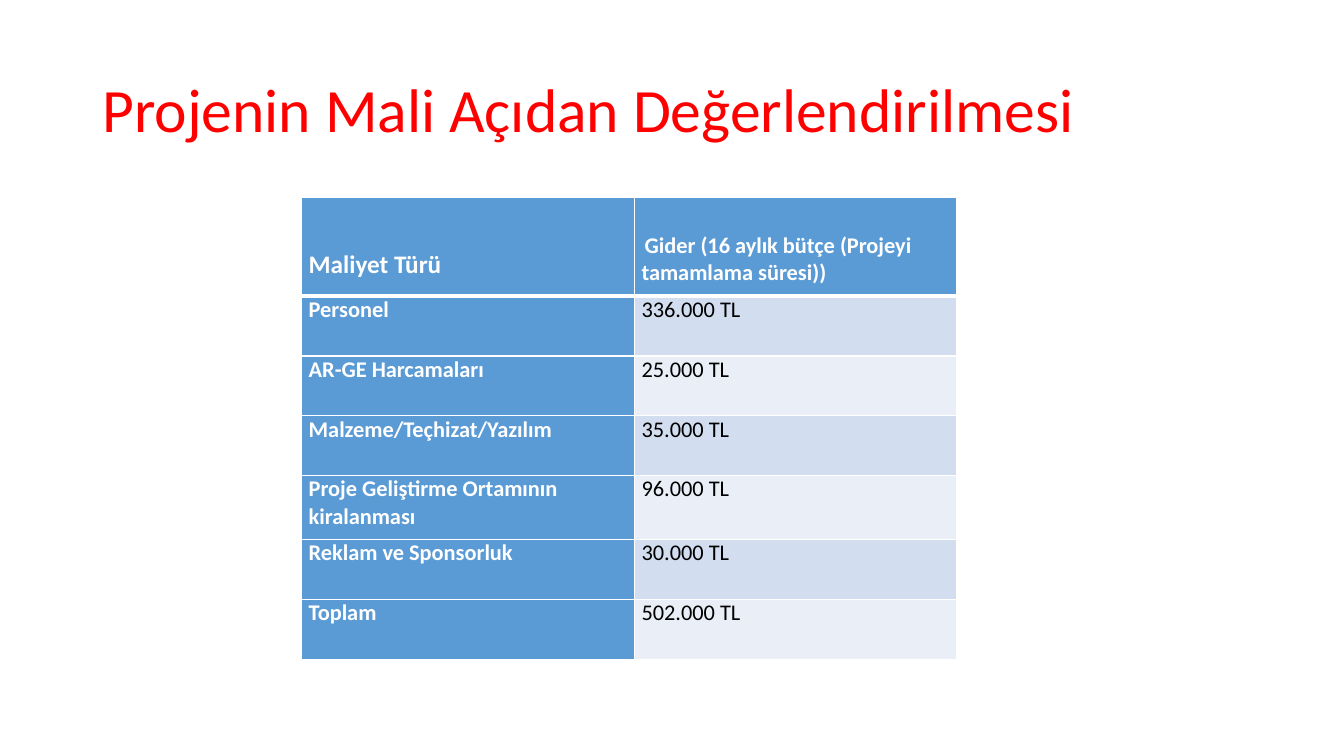
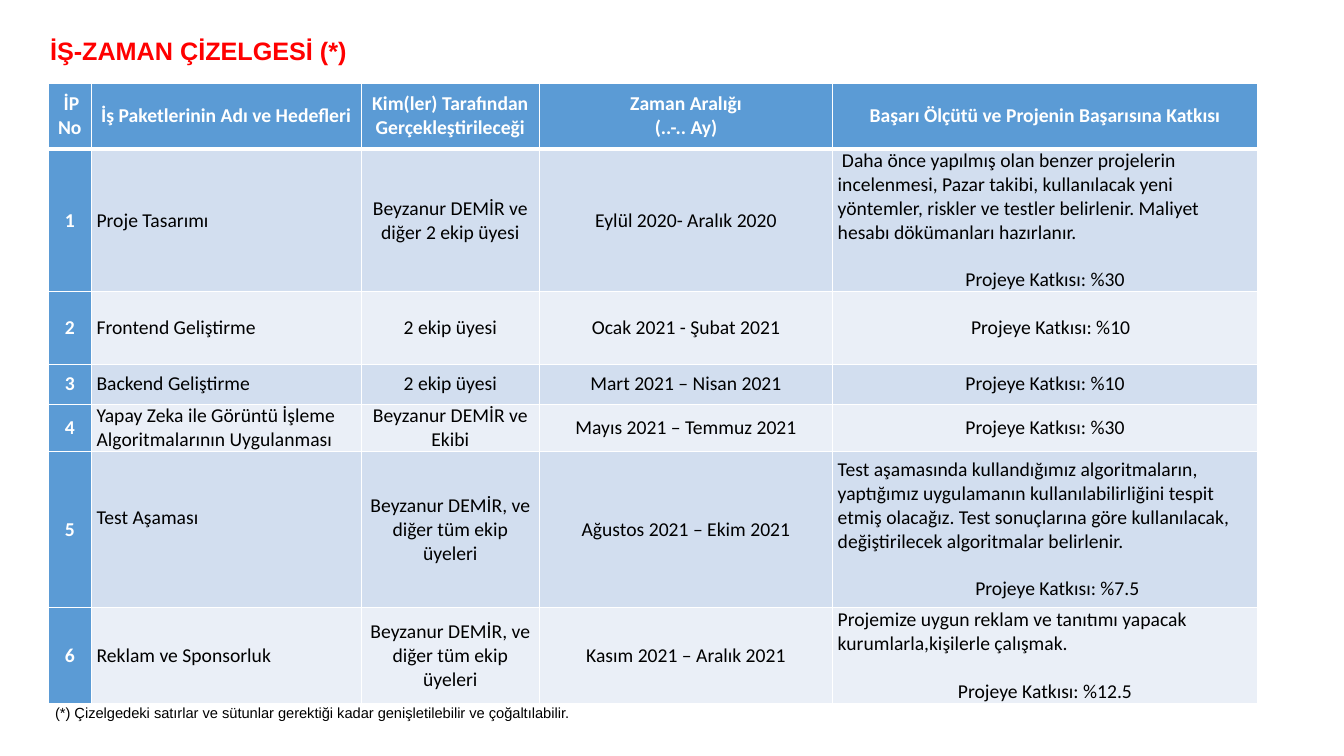
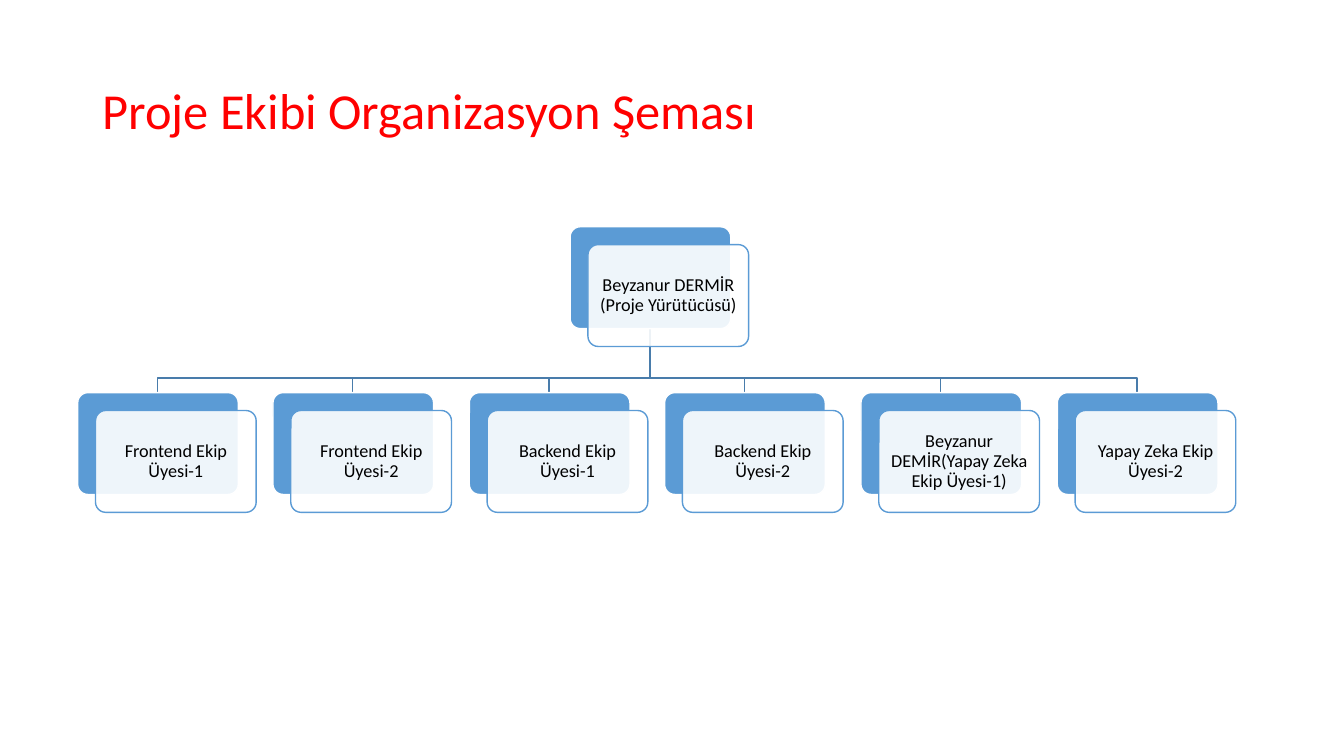
from lxml.etree import SubElement
from pptx import Presentation
from pptx.dml.color import RGBColor
from pptx.enum.shapes import MSO_SHAPE
from pptx.enum.text import MSO_ANCHOR, PP_ALIGN
from pptx.oxml.ns import qn
from pptx.util import Pt

PX = 9525
COLORS = {
    "title": "FF0000",
    "accent": "5B9BD5",
    "odd": "D2DEEF",
    "even": "EAEFF7",
    "link": "497CAB",
    "white": "FFFFFF",
    "black": "000000",
}
LEFT, CENTER = PP_ALIGN.LEFT, PP_ALIGN.CENTER

COSTS = [
    ("Maliyet Türü", "Gider (16 aylık bütçe (Projeyi tamamlama süresi))"),
    ("Personel", "336.000 TL"),
    ("AR-GE Harcamaları", "25.000 TL"),
    ("Malzeme/Teçhizat/Yazılım", "35.000 TL"),
    ("Proje Geliştirme Ortamının kiralanması", "96.000 TL"),
    ("Reklam ve Sponsorluk", "30.000 TL"),
    ("Toplam", "502.000 TL"),
]
WORK_PACKAGES = [
    ("İP No", "İş Paketlerinin Adı ve Hedefleri",
     "Kim(ler) Tarafından Gerçekleştirileceği", "Zaman Aralığı\n(..-.. Ay)",
     "Başarı Ölçütü ve Projenin Başarısına Katkısı"),
    ("1", "Proje Tasarımı", "Beyzanur DEMİR ve diğer 2 ekip üyesi",
     "Eylül 2020- Aralık 2020",
     "Daha önce yapılmış olan benzer projelerin incelenmesi, Pazar takibi, "
     "kullanılacak yeni yöntemler, riskler ve testler belirlenir. Maliyet "
     "hesabı dökümanları hazırlanır.\nProjeye Katkısı: %30"),
    ("2", "Frontend Geliştirme", "2 ekip üyesi", "Ocak 2021 - Şubat 2021",
     "Projeye Katkısı: %10"),
    ("3", "Backend Geliştirme", "2 ekip üyesi", "Mart 2021 – Nisan 2021",
     "Projeye Katkısı: %10"),
    ("4", "Yapay Zeka ile Görüntü İşleme Algoritmalarının Uygulanması",
     "Beyzanur DEMİR ve Ekibi", "Mayıs 2021 – Temmuz 2021",
     "Projeye Katkısı: %30"),
    ("5", "Test Aşaması", "Beyzanur DEMİR, ve diğer tüm ekip üyeleri",
     "Ağustos 2021 – Ekim 2021",
     "Test aşamasında kullandığımız algoritmaların, yaptığımız uygulamanın "
     "kullanılabilirliğini tespit etmiş olacağız. Test sonuçlarına göre "
     "kullanılacak, değiştirilecek algoritmalar belirlenir.\n"
     "Projeye Katkısı: %7.5"),
    ("6", "Reklam ve Sponsorluk", "Beyzanur DEMİR, ve diğer tüm ekip üyeleri",
     "Kasım 2021 – Aralık 2021",
     "Projemize uygun reklam ve tanıtımı yapacak kurumlarla,kişilerle "
     "çalışmak.\nProjeye Katkısı: %12.5"),
]
LEADER = "Beyzanur DERMİR (Proje Yürütücüsü)"
MEMBERS = [
    "Frontend Ekip Üyesi-1",
    "Frontend Ekip Üyesi-2",
    "Backend Ekip Üyesi-1",
    "Backend Ekip Üyesi-2",
    "Beyzanur DEMİR(Yapay Zeka Ekip Üyesi-1)",
    "Yapay Zeka Ekip Üyesi-2",
]
CARD_WIDTH, CARD_HEIGHT, CARD_OFFSET = 153, 97, 17
LEADER_LEFT, LEADER_TOP = 543, 216
MEMBER_LEFT, MEMBER_TOP, MEMBER_SPAN = 74, 374, 933
BRANCH_TOP = 360


def rgb(name):
    return RGBColor.from_string(COLORS[name])


def px(*lengths):
    return [length * PX for length in lengths]


def write(frame, text, size, color="black", bold=False, align=LEFT, font="Calibri"):
    frame.text = text
    for para in frame.paragraphs:
        para.alignment = align
        for span in para.runs:
            span.font.name = font
            span.font.size = Pt(size)
            span.font.bold = bold
            span.font.color.rgb = rgb(color)


def indent(para, left=0, first=0):
    properties = para._p.get_or_add_pPr()
    properties.set("marL", str(left * PX))
    properties.set("indent", str(first * PX))


def add_text(page, place, text, size, **style):
    frame = page.shapes.add_textbox(*px(*place)).text_frame
    frame.word_wrap = True
    write(frame, text, size, **style)
    return frame


def add_title(page, text, size):
    frame = add_text(page, (88, 38, 1104, 139), text, size, color="title")
    frame.vertical_anchor = MSO_ANCHOR.MIDDLE
    frame.paragraphs[0].line_spacing = 0.9


def set_borders(cell, bottom):
    properties = cell._tc.get_or_add_tcPr()
    for side, width in (("L", 1), ("R", 1), ("T", 1), ("B", bottom)):
        line = SubElement(properties, qn("a:ln" + side), w=str(Pt(width)))
        fill = SubElement(line, qn("a:solidFill"))
        SubElement(fill, qn("a:srgbClr"), val=COLORS["white"])


def add_grid(page, left, top, widths, heights, rows, size, inset, aligns, anchor):
    place = px(left, top, sum(widths), sum(heights))
    table = page.shapes.add_table(len(rows), len(widths), *place).table
    for column, width in zip(table.columns, widths):
        column.width = width * PX
    for r, (texts, height) in enumerate(zip(rows, heights)):
        table.rows[r].height = height * PX
        for c, text in enumerate(texts):
            cell = table.cell(r, c)
            heading = r == 0 or c == 0
            cell.margin_left = cell.margin_right = inset * PX
            cell.margin_top = cell.margin_bottom = 0
            cell.vertical_anchor = anchor
            write(cell.text_frame, text, size, bold=heading,
                  color="white" if heading else "black",
                  align=aligns[0] if r == 0 else aligns[c])
            set_borders(cell, 3 if r == 0 else 1)
            cell.fill.solid()
            band = "odd" if r % 2 else "even"
            cell.fill.fore_color.rgb = rgb("accent" if heading else band)
    return table


def add_panel(page, left, top, fill, line):
    place = px(left, top, CARD_WIDTH, CARD_HEIGHT)
    panel = page.shapes.add_shape(MSO_SHAPE.ROUNDED_RECTANGLE, *place)
    panel.adjustments[0] = 0.1
    panel.shadow.inherit = False
    panel.fill.solid()
    panel.fill.fore_color.rgb = rgb(fill)
    panel.line.color.rgb = rgb(line)
    panel.line.width = Pt(1)
    return panel


def add_card(page, left, top, text):
    add_panel(page, left, top, "accent", "white")
    front = add_panel(page, left + CARD_OFFSET, top + CARD_OFFSET, "white", "accent")
    color = front.fill._xPr.find(qn("a:solidFill"))[0]
    SubElement(color, qn("a:alpha"), val="90000")
    frame = front.text_frame
    frame.word_wrap = True
    frame.vertical_anchor = MSO_ANCHOR.MIDDLE
    frame.margin_left = frame.margin_right = 5 * PX
    frame.margin_top = frame.margin_bottom = 5 * PX
    write(frame, text, 13, align=CENTER)
    frame.paragraphs[0].line_spacing = 0.9


def add_branch(page, start, end):
    builder = page.shapes.build_freeform(*start, scale=PX)
    builder.add_line_segments(
        [(start[0], BRANCH_TOP), (end[0], BRANCH_TOP), end], close=False)
    branch = builder.convert_to_shape()
    branch.shadow.inherit = False
    branch.fill.background()
    branch.line.color.rgb = rgb("link")
    branch.line.width = Pt(1)


def build_costs(page):
    add_title(page, "Projenin Mali Açıdan Değerlendirilmesi", 44)
    table = add_grid(page, 287, 188, (317, 307), (94, 57, 57, 57, 61, 57, 57),
                     COSTS, 16, 7, (LEFT, LEFT), MSO_ANCHOR.TOP)
    for column, bottom in enumerate((15, 9)):
        cell = table.cell(0, column)
        cell.vertical_anchor = MSO_ANCHOR.BOTTOM
        cell.margin_bottom = bottom * PX
    table.cell(0, 0).text_frame.paragraphs[0].runs[0].font.size = Pt(18)
    indent(table.cell(0, 1).text_frame.paragraphs[0], first=3)


def build_schedule(page):
    table = add_grid(page, 46, 79, (41, 257, 170, 279, 405),
                     (63, 136, 69, 38, 45, 149, 91), WORK_PACKAGES, 14, 5,
                     (CENTER, LEFT, CENTER, CENTER, CENTER), MSO_ANCHOR.MIDDLE)
    goals = [table.cell(r, 4).text_frame.paragraphs for r in range(len(WORK_PACKAGES))]
    for paras in goals:
        if len(paras) > 1:
            paras[0].alignment = LEFT
            paras[0].space_after = Pt(17)
    indent(goals[1][0], first=4)
    for para, left in ((goals[2][0], 127), (goals[5][1], 131)):
        para.alignment = LEFT
        indent(para, left=left)
    indent(table.cell(0, 0).text_frame.paragraphs[0], first=3)
    table.cell(5, 1).margin_bottom = 23 * PX
    note = add_text(
        page, (33, 666, 640, 30),
        "(*) Çizelgedeki satırlar ve sütunlar gerektiği kadar genişletilebilir "
        "ve çoğaltılabilir.", 10.5, font="Arial")
    indent(note.paragraphs[0], left=10)
    add_text(page, (9, 29, 360, 38), "İŞ-ZAMAN ÇİZELGESİ (*)", 18,
             color="title", bold=True, align=CENTER, font="Arial")


def build_team(page):
    add_title(page, "Proje Ekibi Organizasyon Şeması", 36)
    middle = CARD_WIDTH // 2
    start = (LEADER_LEFT + middle, LEADER_TOP + CARD_HEIGHT)
    lefts = [MEMBER_LEFT + MEMBER_SPAN * i // (len(MEMBERS) - 1)
             for i in range(len(MEMBERS))]
    for left in lefts:
        add_branch(page, start, (left + middle, MEMBER_TOP))
    add_card(page, LEADER_LEFT, LEADER_TOP, LEADER)
    for left, member in zip(lefts, MEMBERS):
        add_card(page, left, MEMBER_TOP, member)


def main():
    deck = Presentation()
    deck.slide_width, deck.slide_height = px(1280, 720)
    for build in (build_costs, build_schedule, build_team):
        build(deck.slides.add_slide(deck.slide_layouts[6]))
    deck.save("out.pptx")


if __name__ == "__main__":
    main()
